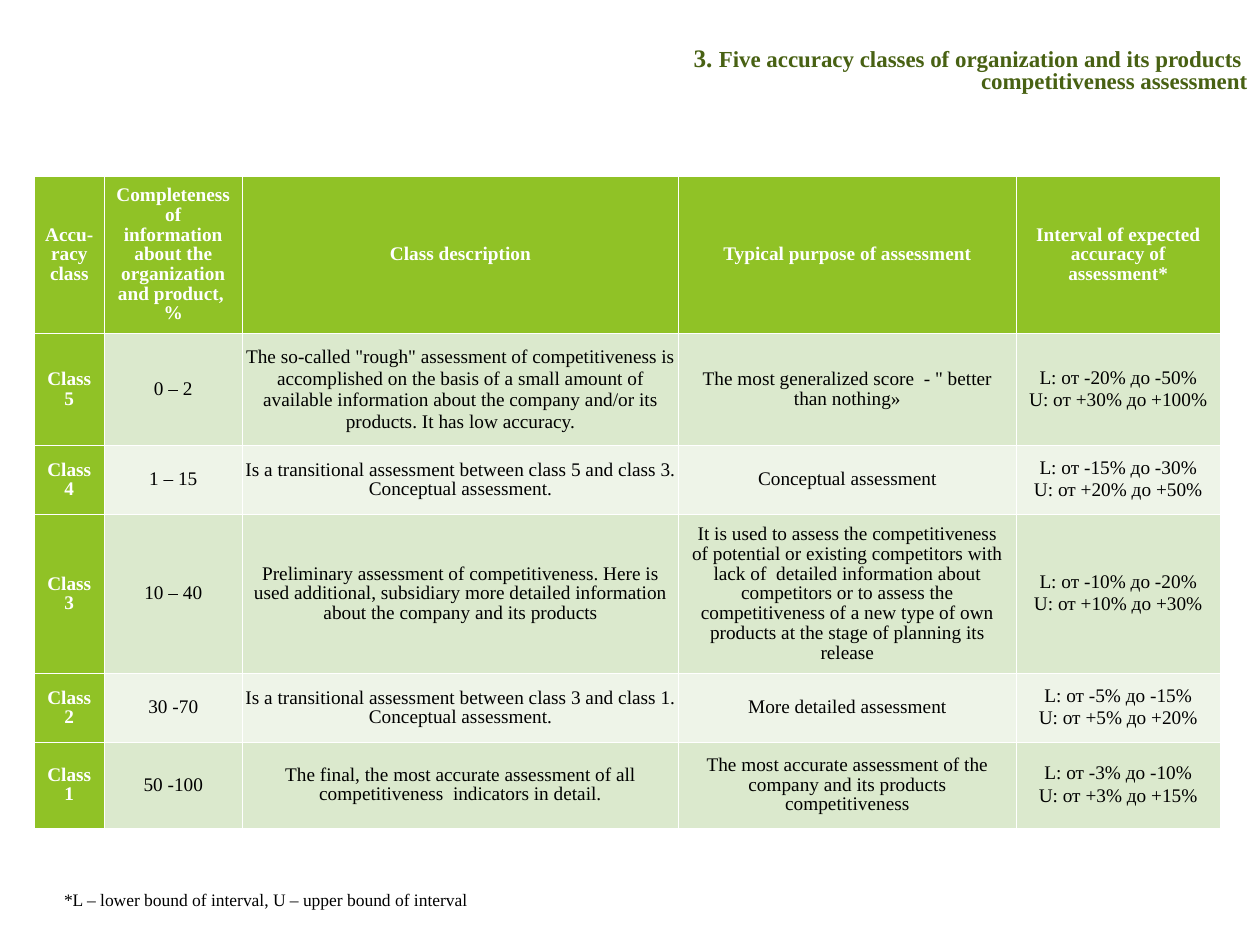
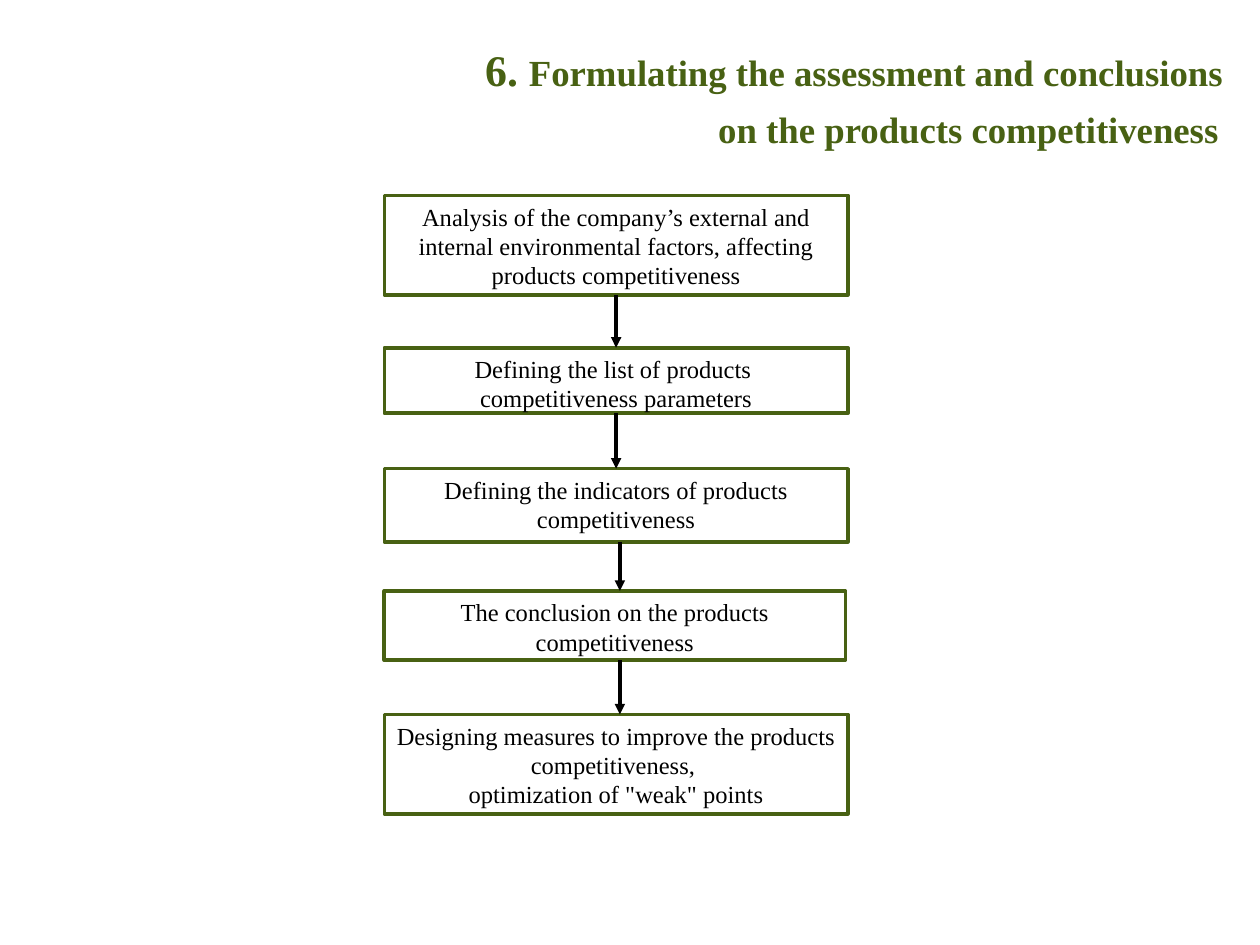
from dataclasses import dataclass

from lxml import etree
from pptx import Presentation
from pptx import util as u
from pptx.dml import color
from pptx.enum import shapes, text
from pptx.oxml import ns

SLIDE_WIDTH, SLIDE_HEIGHT = u.Inches(10), u.Inches(7.5)
COLUMNS, ROWS = 100, 75
SERIF, SANS = "Times New Roman", "Arial"
DARK_GREEN, GREEN = "486113", "90C226"
BAND, PALE_BAND = "DBE9CD", "EEF4E8"
WHITE, BLACK = "FFFFFF", "000000"
THIN, THICK = 0.23, 0.75

ACCURACY_COLUMNS = [5.5, 11, 34.6, 26.8, 16.2]
ACCURACY_ROWS = [12.55, 8.85, 5.5, 12.6, 5.5, 6.75]
DESCRIPTION_COLUMN = 2
ACCURACY = [
    ["Accu-racy class",
     "Completeness of information about the organization and product,  %",
     "Class description",
     "Typical purpose of assessment",
     "Interval of expected accuracy of assessment*"],
    ["Class 5", "0 – 2",
     'The so-called "rough" assessment of competitiveness is accomplished on the basis of '
     "a small amount of available information about the company and/or its products. "
     "It has low accuracy.",
     'The most generalized score  - " better than nothing»',
     "L: от -20% до -50%\nU: от +30% до +100%"],
    ["Class 4", "1 – 15",
     "Is a transitional assessment between class 5 and class 3. Conceptual assessment.",
     "Conceptual assessment",
     "L: от -15% до -30%\nU: от +20% до +50%"],
    ["Class 3", "10 – 40",
     "Preliminary assessment of competitiveness. Here is used additional, subsidiary "
     "more detailed information about the company and its products",
     "It is used to assess the competitiveness of potential or existing competitors with "
     "lack of  detailed information about competitors or to assess the competitiveness of "
     "a new type of own products at the stage of planning its release",
     "L: от -10% до -20%\nU: от +10% до +30%"],
    ["Class 2", "30 -70",
     "Is a transitional assessment between class 3 and class 1. Conceptual assessment.",
     "More detailed assessment",
     "L: от -5% до -15%\nU: от +5% до +20%"],
    ["Class 1", "50 -100",
     "The final, the most accurate assessment of all competitiveness  indicators in detail.",
     "The most accurate assessment of the company and its products competitiveness",
     "L: от -3% до -10%\nU: от +3% до +15%"],
]

# Wording, then top, width and height in grid units within the flow
STEPS = [
    ("Analysis of the company’s external and internal environmental factors, "
     "affecting products competitiveness", 0, 36.8, 7.9),
    ("Defining the list of products \ncompetitiveness parameters", 12.1, 36.8, 5.2),
    ("Defining the indicators of products competitiveness", 21.7, 36.8, 5.8),
    ("The conclusion on the products competitiveness", 31.4, 36.6, 5.5),
    ("Designing measures to improve the products competitiveness, \n"
     'optimization of "weak" points', 41.2, 36.8, 7.9),
]
CENTRED_ARROWS = 2
SHIFTED_ARROW_X = 18.7


def across(columns):
    return round(SLIDE_WIDTH * columns / COLUMNS)


def down(rows):
    return round(SLIDE_HEIGHT * rows / ROWS)


@dataclass
class Box:
    """An area of the slide, in grid columns and rows."""
    left: float
    top: float
    width: float
    height: float

    def inner(self, left, top, width, height):
        return Box(self.left + left, self.top + top, width, height)

    def place(self):
        return across(self.left), down(self.top), across(self.width), down(self.height)


def rgb(hex_colour):
    return color.RGBColor.from_string(hex_colour)


def set_font(font, size, colour=BLACK, bold=False, name=SERIF):
    font.name, font.size, font.bold = name, u.Pt(size), bold
    font.color.rgb = rgb(colour)


def write(frame, wording, size, colour=BLACK, bold=False, align=text.PP_ALIGN.CENTER):
    """Fill a frame with one paragraph per line of wording; return the paragraphs."""
    frame.word_wrap = True
    frame.text = wording
    for paragraph in frame.paragraphs:
        paragraph.alignment = align
        set_font(paragraph.font, size, colour, bold)
    return frame.paragraphs


def add_title(slide, box, number, wording, number_size, size, spacing, anchor):
    title = slide.shapes.title
    title.left, title.top, title.width, title.height = box.place()
    frame = title.text_frame
    frame.auto_size = text.MSO_AUTO_SIZE.NONE
    frame.vertical_anchor = anchor
    lines = write(frame, wording, size, DARK_GREEN, True, text.PP_ALIGN.RIGHT)
    first_words = lines[0].runs[0].text
    lines[0].runs[0].text = number
    set_font(lines[0].runs[0].font, number_size, DARK_GREEN, True)
    lines[0].add_run().text = first_words
    for line in lines:
        line.line_spacing = spacing
    return lines


def set_borders(cell, top, bottom):
    properties = cell._tc.get_or_add_tcPr()
    widths = {"a:lnL": THIN, "a:lnR": THIN, "a:lnT": top, "a:lnB": bottom}
    for position, (side, width) in enumerate(widths.items()):
        border = etree.Element(ns.qn(side), w=str(u.Pt(width)))
        fill = etree.SubElement(border, ns.qn("a:solidFill"))
        etree.SubElement(fill, ns.qn("a:srgbClr"), val=WHITE)
        properties.insert(position, border)


def fill_cell(cell, row, column, wording):
    heading = row == 0 or column == 0
    description = row > 0 and column == DESCRIPTION_COLUMN
    cell.vertical_anchor = text.MSO_ANCHOR.MIDDLE
    cell.margin_left = cell.margin_right = u.Inches(0.01 if description else 0.08)
    cell.margin_top = cell.margin_bottom = u.Inches(0.05)
    cell.fill.solid()
    cell.fill.fore_color.rgb = rgb(GREEN if heading else BAND if row % 2 else PALE_BAND)
    set_borders(cell, THICK if row == 1 else THIN, THICK if row == 0 else THIN)
    lines = write(cell.text_frame, wording, 11, WHITE if heading else BLACK, heading)
    for line in lines:
        line.line_spacing = 0.92
    if len(lines) > 1:
        lines[1].line_spacing = 1.05
    if row == 1 and description:
        lines[0].line_spacing = 1.0


def add_accuracy_table(slide, box):
    table = slide.shapes.add_table(len(ACCURACY), len(ACCURACY[0]), *box.place()).table
    table.first_row = table.horz_banding = False
    for column, width in zip(table.columns, ACCURACY_COLUMNS):
        column.width = across(width)
    for table_row, height in zip(table.rows, ACCURACY_ROWS):
        table_row.height = down(height)
    for row, wordings in enumerate(ACCURACY):
        for column, wording in enumerate(wordings):
            fill_cell(table.cell(row, column), row, column, wording)


def add_footnote(slide, box, wording):
    frame = slide.shapes.add_textbox(*box.place()).text_frame
    footnote, = write(frame, wording, 10, align=text.PP_ALIGN.LEFT)
    footnote.line_spacing = 1.15


def add_step(slide, box, wording):
    step = slide.shapes.add_shape(shapes.MSO_SHAPE.RECTANGLE, *box.place())
    step.shadow.inherit = False
    step.fill.solid()
    step.fill.fore_color.rgb = rgb(WHITE)
    step.line.color.rgb = rgb(DARK_GREEN)
    step.line.width = u.Pt(2)
    step.text_frame.vertical_anchor = text.MSO_ANCHOR.TOP
    write(step.text_frame, wording, 14)
    return step


def add_arrow(slide, x, upper, lower):
    """Draw an arrow at x between two steps; without x, join their middles."""
    arrow = slide.shapes.add_connector(
        shapes.MSO_CONNECTOR.STRAIGHT, x or 0, upper.top + upper.height, x or 0, lower.top)
    if x is None:
        arrow.begin_connect(upper, 2)
        arrow.end_connect(lower, 0)
    arrow.line.color.rgb = rgb(BLACK)
    arrow.line.width = u.Pt(2)
    properties = arrow._element.spPr
    etree.SubElement(properties.find(ns.qn("a:ln")), ns.qn("a:tailEnd"), type="triangle")
    etree.SubElement(properties, ns.qn("a:effectLst"))


def add_flow(slide, box):
    steps = [add_step(slide, box.inner(0, top, width, height), wording)
             for wording, top, width, height in STEPS]
    for index, (upper, lower) in enumerate(zip(steps, steps[1:])):
        shifted = index >= CENTRED_ARROWS
        x = across(box.left + SHIFTED_ARROW_X) if shifted else None
        add_arrow(slide, x, upper, lower)


def build_accuracy_slide(slide):
    add_title(slide, Box(4.3, 3.3, 95.7, 5.6), "3. ",
              "Five accuracy classes of organization and its products \n"
              "competitiveness assessment", 14.4, 13.1, 0.8, text.MSO_ANCHOR.TOP)
    add_accuracy_table(slide, Box(2.75, 13.95, 94.2, 51.8))
    add_footnote(slide, Box(4.1, 69.8, 89.9, 2.9),
                 "*L – lower bound of interval, U – upper bound of interval")


def build_conclusions_slide(slide):
    lines = add_title(slide, Box(4.4, 2.8, 94.4, 9.9), "6. ",
                      "Formulating the assessment and conclusions \n"
                      "on the products competitiveness", 25, 21, 1.0, text.MSO_ANCHOR.BOTTOM)
    closing_space = lines[1].add_run()
    closing_space.text = " "
    set_font(closing_space.font, 28, name=SANS)
    add_flow(slide, Box(30.5, 15.5, 36.8, 49.1))


def main():
    deck = Presentation()
    deck.slide_width, deck.slide_height = SLIDE_WIDTH, SLIDE_HEIGHT
    title_only = deck.slide_layouts[5]
    for build in (build_accuracy_slide, build_conclusions_slide):
        build(deck.slides.add_slide(title_only))
    deck.save("out.pptx")


if __name__ == "__main__":
    main()
